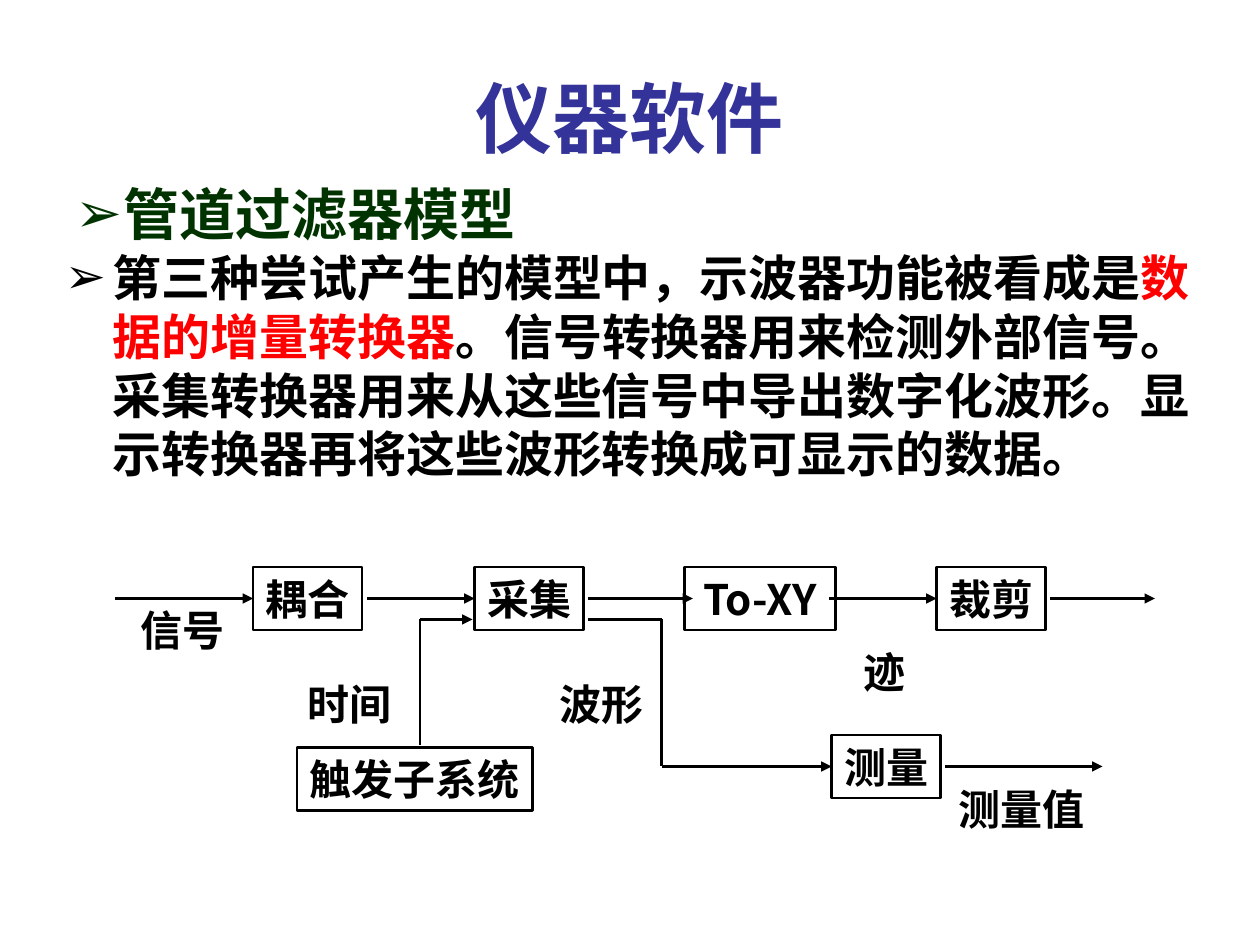
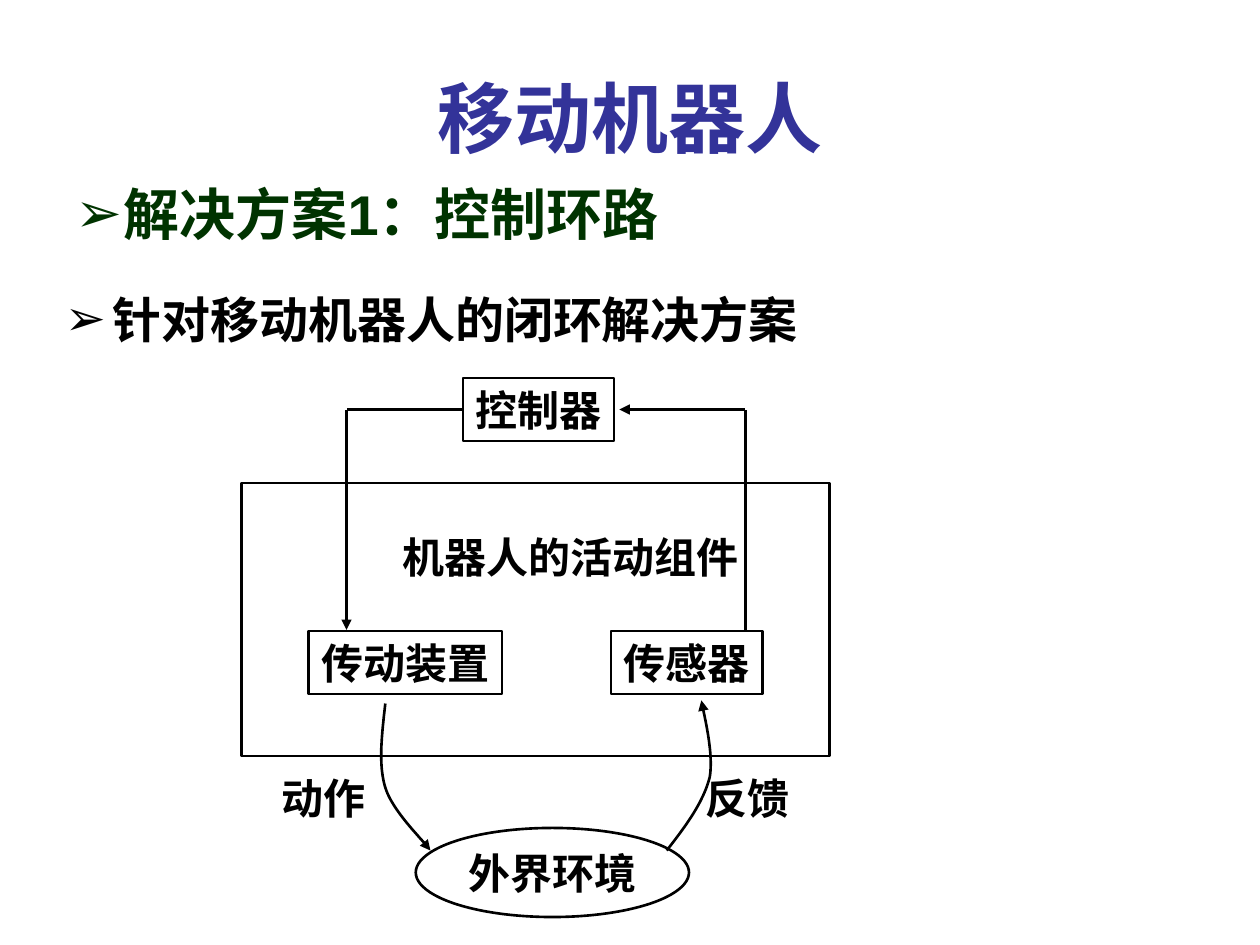
from dataclasses import dataclass

from lxml import etree
from pptx import Presentation
from pptx.dml.color import RGBColor
from pptx.enum.shapes import MSO_CONNECTOR, MSO_SHAPE
from pptx.enum.text import MSO_ANCHOR, PP_ALIGN
from pptx.oxml.ns import qn
from pptx.util import Inches, Pt

RECT, OVAL = MSO_SHAPE.RECTANGLE, MSO_SHAPE.OVAL
STRAIGHT = MSO_CONNECTOR.STRAIGHT
TOP, MIDDLE = MSO_ANCHOR.TOP, MSO_ANCHOR.MIDDLE
LEFT, CENTER = PP_ALIGN.LEFT, PP_ALIGN.CENTER
SIDE_LEFT = 1

COLORS = {"title": "333399", "heading": "003300", "ink": "000000", "accent": "FF0000"}
TEXT_FONT, CJK_FONT = "Arial", "Noto Sans CJK SC"
BULLET, HANGING = "➢", 0.38
LINE_HEIGHT = 1.2
LINE_WIDTH = Pt(1.5)

WIDTH, HEIGHT = Inches(10), Inches(7.5)
COLS, ROWS = 120, 90
CHAR_COLS, PAD_COLS, NODE_ROWS = 4, 2.4, 6
OVAL_SCALE = 2 ** 0.5  # an ellipse drawn around its text box
CURVE_STEPS = 24

Point = tuple[float, float]


@dataclass
class Node:
    """Text centred on a row; its width follows from its number of characters."""
    text: str
    left: float
    mid: float
    shape: int | None = RECT
    chars: int = 0

    @property
    def scale(self) -> float:
        return OVAL_SCALE if self.shape == OVAL else 1

    @property
    def area(self) -> tuple[float, float, float, float]:
        w = (PAD_COLS + CHAR_COLS * (self.chars or len(self.text))) * self.scale
        h = NODE_ROWS * self.scale
        return self.left, self.mid - h / 2, w, h


@dataclass
class Flow:
    """A path of straight lines, optionally joined to the left side of nodes."""
    points: list[Point]
    arrow: bool = True
    source: str = ""
    target: str = ""


@dataclass
class Curve:
    """Cubic Bezier pieces: a start, then three points for each piece."""
    points: list[Point]


@dataclass
class Page:
    title: str
    heading: str
    body: list[tuple[str, str]]
    body_top: float
    nodes: list[Node]
    flows: list[Flow]
    curves: list[Curve]
    frame: tuple[float, float, float, float] | None = None


def x(col: float) -> int:
    return round(WIDTH * col / COLS)


def y(row: float) -> int:
    return round(HEIGHT * row / ROWS)


def place(area: tuple[float, float, float, float]) -> tuple[int, int, int, int]:
    left, top, w, h = area
    return x(left), y(top), x(w), y(h)


def color(name: str) -> RGBColor:
    return RGBColor.from_string(COLORS[name])


def write(sp, runs: list[tuple[str, str]], size: int, font: str, align, anchor,
          bullet: bool = False, wrap: bool = True) -> None:
    tf = sp.text_frame
    tf.word_wrap, tf.vertical_anchor = wrap, anchor
    p = tf.paragraphs[0]
    p.alignment, p.line_spacing = align, Pt(size * LINE_HEIGHT)
    if bullet:
        pPr = p._p.get_or_add_pPr()
        pPr.set("marL", str(Inches(HANGING)))
        pPr.set("indent", str(-Inches(HANGING)))
        clr = etree.SubElement(pPr, qn("a:buClr"))
        etree.SubElement(clr, qn("a:srgbClr"), val=COLORS[runs[0][1]])
        etree.SubElement(pPr, qn("a:buFont"), typeface=TEXT_FONT)
        etree.SubElement(pPr, qn("a:buChar"), char=BULLET)
    for text, tint in runs:
        r = p.add_run()
        r.text = text
        r.font.size, r.font.bold, r.font.name = Pt(size), True, font
        r.font.color.rgb = color(tint)
        latin = r._r.rPr.find(qn("a:latin"))
        latin.addnext(etree.Element(qn("a:ea"), typeface=CJK_FONT))


def style_line(sp, arrow: bool = False) -> None:
    sp.line.color.rgb, sp.line.width = color("ink"), LINE_WIDTH
    if arrow:
        etree.SubElement(sp.line._get_or_add_ln(), qn("a:tailEnd"), type="triangle")


def outline(sp, arrow: bool = False) -> None:
    sp.shadow.inherit = False
    sp.fill.background()
    style_line(sp, arrow)


def draw_node(slide, node: Node):
    if node.shape is None:
        sp = slide.shapes.add_textbox(*place(node.area))
    else:
        sp = slide.shapes.add_shape(node.shape, *place(node.area))
        outline(sp)
    write(sp, [(node.text, "ink")], 24, CJK_FONT, CENTER, MIDDLE, wrap=False)
    return sp


def draw_flow(slide, flow: Flow, shapes: dict) -> None:
    last = len(flow.points) - 2
    for i, (a, b) in enumerate(zip(flow.points, flow.points[1:])):
        line = slide.shapes.add_connector(STRAIGHT, x(a[0]), y(a[1]), x(b[0]), y(b[1]))
        style_line(line, flow.arrow and i == last)
        etree.SubElement(line._element.spPr, qn("a:effectLst"))
        if flow.source and i == 0:
            line.begin_connect(shapes[flow.source], SIDE_LEFT)
        if flow.target and i == last:
            line.end_connect(shapes[flow.target], SIDE_LEFT)


def bezier(ctrl: list[Point], t: float) -> Point:
    weights = ((1 - t) ** 3, 3 * t * (1 - t) ** 2, 3 * t * t * (1 - t), t ** 3)
    return (sum(w * c[0] for w, c in zip(weights, ctrl)),
            sum(w * c[1] for w, c in zip(weights, ctrl)))


def draw_curve(slide, curve: Curve) -> None:
    pts = curve.points
    path = [bezier(pts[i:i + 4], s / CURVE_STEPS)
            for i in range(0, len(pts) - 1, 3) for s in range(1, CURVE_STEPS + 1)]
    builder = slide.shapes.build_freeform(x(pts[0][0]), y(pts[0][1]))
    builder.add_line_segments([(x(c), y(r)) for c, r in path], close=False)
    outline(builder.convert_to_shape(), arrow=True)


def draw_page(prs, page: Page) -> None:
    slide = prs.slides.add_slide(prs.slide_layouts[6])
    heading = slide.shapes.add_textbox(*place((6, 16.5, 111, 9)))
    write(heading, [(page.heading, "heading")], 32, TEXT_FONT, LEFT, TOP, bullet=True)
    title = slide.shapes.add_textbox(*place((6, 3.6, 108, 15)))
    write(title, [(page.title, "title")], 44, TEXT_FONT, CENTER, MIDDLE)
    body = slide.shapes.add_textbox(*place((5, page.body_top, 113, 87 - page.body_top)))
    write(body, page.body, 28, TEXT_FONT, LEFT, TOP, bullet=True)
    if page.frame:
        outline(slide.shapes.add_shape(RECT, *place(page.frame)))
    shapes = {node.text: draw_node(slide, node) for node in page.nodes}
    for flow in page.flows:
        draw_flow(slide, flow, shapes)
    for curve in page.curves:
        draw_curve(slide, curve)


PAGES = [
    Page(
        "仪器软件", "管道过滤器模型",
        [("第三种尝试产生的模型中，示波器功能被看成是", "ink"),
         ("数据的增量转换器", "accent"),
         ("。信号转换器用来检测外部信号。采集转换器用来从这些信号中导出数字化波形。"
          "显示转换器再将这些波形转换成可显示的数据。", "ink")],
        23,
        nodes=[
            Node("耦合", 24.1, 57), Node("采集", 45.2, 57),
            Node("To-XY", 65.2, 57, chars=3), Node("裁剪", 89.2, 57),
            Node("触发子系统", 28.3, 74.2), Node("测量", 79.2, 73),
            Node("信号", 12.2, 60, None), Node("时间", 28.1, 67, None),
            Node("波形", 52.1, 67, None), Node("迹", 81, 64, None),
            Node("测量值", 90.1, 77, None),
        ],
        flows=[
            Flow([(11, 57), (24, 57)], target="耦合"),
            Flow([(35, 57), (45, 57)], target="采集"),
            Flow([(56, 57), (66, 57)]),
            Flow([(79, 57), (89, 57)], target="裁剪"),
            Flow([(100, 57), (110, 57)]),
            Flow([(40, 71), (40, 59), (45, 59)]),
            Flow([(56, 59), (63, 59), (63, 73), (79, 73)], target="测量"),
            Flow([(90, 73), (105, 73)]),
        ],
        curves=[],
    ),
    Page(
        "移动机器人", "解决方案1：控制环路",
        [("针对移动机器人的闭环解决方案", "ink")],
        27,
        nodes=[
            Node("控制器", 44.1, 39), Node("传动装置", 29.4, 63.1),
            Node("传感器", 58.2, 63.1), Node("外界环境", 39.6, 83.1, OVAL),
            Node("动作", 25.6, 76, None), Node("反馈", 66, 76, None),
            Node("机器人的活动组件", 37.1, 53, None),
        ],
        flows=[
            Flow([(44, 39), (33, 39), (33, 60)], source="控制器"),
            Flow([(71, 60), (71, 39), (59, 39)]),
        ],
        curves=[
            Curve([(36.7, 67), (36.4, 69.8), (36, 72.7), (36.7, 75),
                   (37.4, 77.3), (40.3, 80), (41, 81)]),
            Curve([(63.5, 81), (65.3, 78.7), (67, 76.4), (67.6, 74),
                   (68, 71.6), (67, 67.9), (66.8, 66.7)]),
        ],
        frame=(23, 46, 56, 26),
    ),
]


def main() -> None:
    prs = Presentation()
    prs.slide_width, prs.slide_height = WIDTH, HEIGHT
    for page in PAGES:
        draw_page(prs, page)
    prs.save("out.pptx")


if __name__ == "__main__":
    main()
